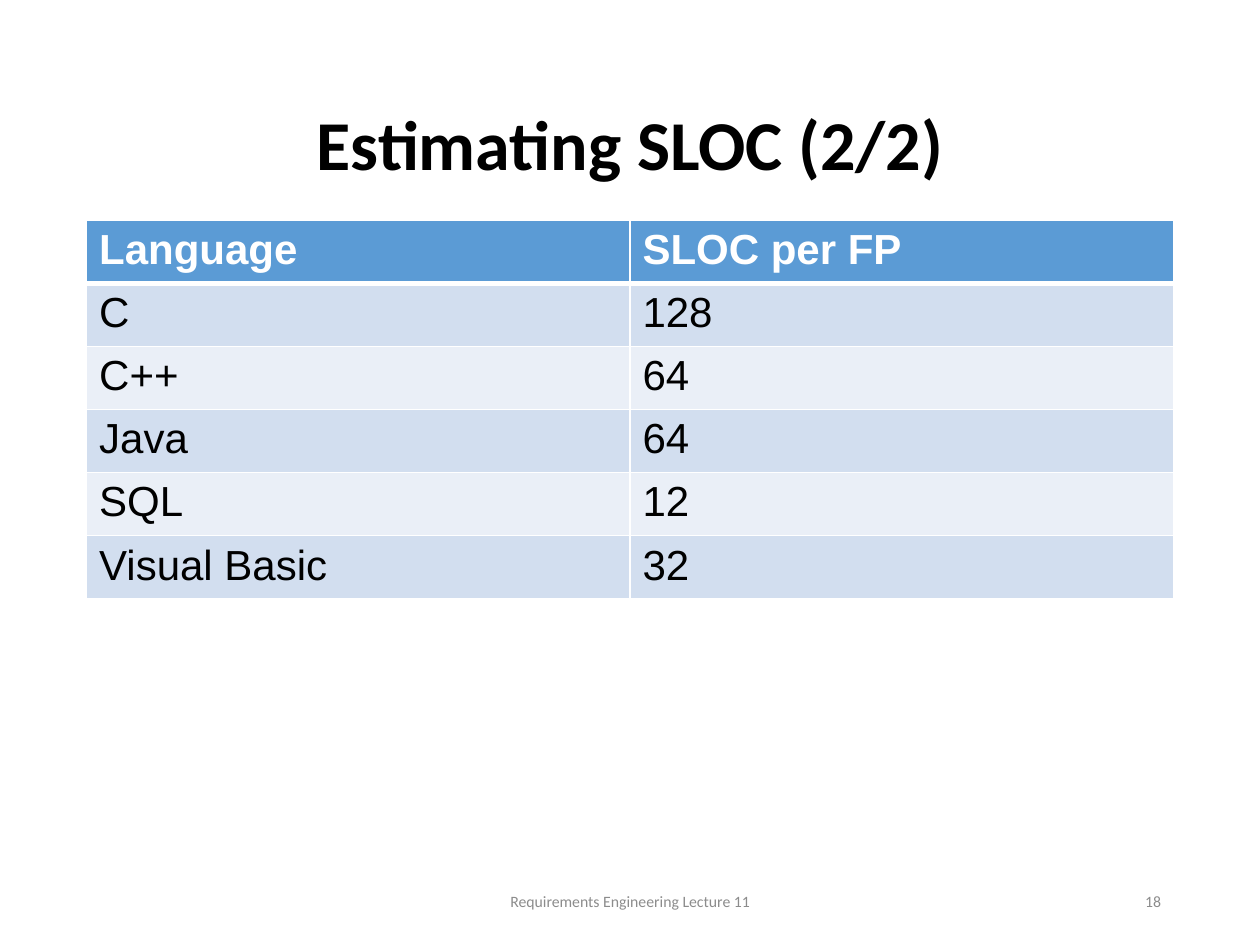
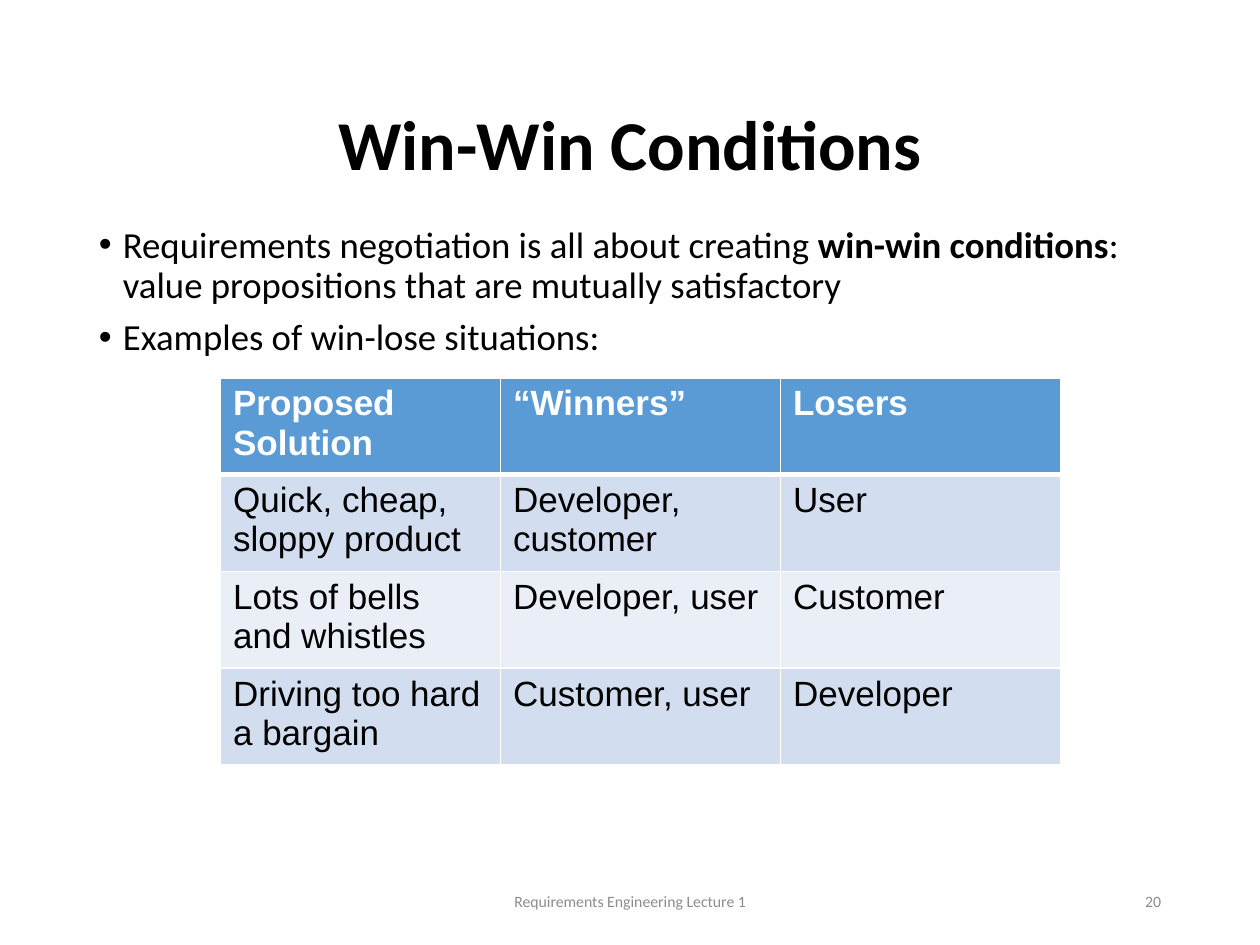
from collections import namedtuple

from lxml.etree import SubElement
from pptx import Presentation
from pptx.dml.color import RGBColor as Rgb
from pptx.enum.text import MSO_ANCHOR as Anchor, PP_ALIGN as Align
from pptx.oxml.ns import qn
from pptx.util import Inches, Pt

COLORS = {"text": "000000", "muted": "8C8C8C", "white": "FFFFFF",
          "header": "5B9BD5", "odd": "D2DEEF", "even": "EAEFF7"}
CELL = Inches(1 / 16)
COLUMNS, ROWS = 160, 120
Box = namedtuple("Box", "left top width height")

MARGIN = 11
CONTENT_WIDTH = COLUMNS - 2 * MARGIN
TITLE = Box(MARGIN, 12.3, CONTENT_WIDTH, 13)
BODY = Box(MARGIN, 28, CONTENT_WIDTH, 80.2)
FOOTER = Box(53, 111.2, 54, 6.4)
PAGE_NUMBER = Box(113, 111.2, 36, 6.4)
SLOC_BOX = Box(MARGIN, 28, CONTENT_WIDTH, 48)
WIN_LOSE_BOX = Box(28, 48, 106.67, 49.1)
ROW_HEIGHT = Inches(0.41)

SLOC_PER_LANGUAGE = [
    ("Language", "SLOC per FP"),
    ("C", "128"),
    ("C++", "64"),
    ("Java", "64"),
    ("SQL", "12"),
    ("Visual Basic", "32"),
]
WIN_LOSE_SITUATIONS = [
    ("Proposed Solution", "“Winners”", "Losers"),
    ("Quick, cheap, sloppy product", "Developer, customer", "User"),
    ("Lots of bells and whistles", "Developer, user", "Customer"),
    ("Driving too hard a bargain", "Customer, user", "Developer"),
]
WIN_WIN_POINTS = [
    [("Requirements negotiation is all about creating ", False),
     ("win-win conditions", True),
     (": value propositions that are mutually satisfactory", False)],
    [("Examples of win-lose situations:", False)],
]


def to_emu(box):
    """Convert a box in grid cells to slide lengths."""
    return [round(length * CELL) for length in box]


def style_font(font, size, color, bold=False, name="Calibri"):
    """Set the face, size, colour and weight of a font."""
    font.name, font.size, font.bold = name, Pt(size), bold
    font.color.rgb = Rgb.from_string(COLORS[color])


def add_frame(slide, box, anchor):
    """Add a wrapping text box and return its text frame."""
    frame = slide.shapes.add_textbox(*to_emu(box)).text_frame
    frame.word_wrap = True
    frame.vertical_anchor = anchor
    return frame


def add_line(slide, box, text, align, size, color, bold=False):
    """Add a single vertically centred paragraph."""
    paragraph = add_frame(slide, box, Anchor.MIDDLE).paragraphs[0]
    paragraph.text, paragraph.alignment = text, align
    style_font(paragraph.font, size, color, bold)
    return paragraph


def add_lecture_slide(deck, title, footer, number):
    """Add a slide with the shared title, footer and page number."""
    slide = deck.slides.add_slide(deck.slide_layouts[6])
    heading = add_line(slide, TITLE, title, Align.CENTER, 40, "text", True)
    heading.line_spacing = 0.9
    add_line(slide, FOOTER, footer, Align.CENTER, 9, "muted")
    add_line(slide, PAGE_NUMBER, number, Align.RIGHT, 9, "muted")
    return slide


def add_bullets(slide, box, points):
    """Add bulleted paragraphs made of (text, bold) runs."""
    frame = add_frame(slide, box, Anchor.TOP)
    for index, point in enumerate(points):
        paragraph = frame.paragraphs[0] if index == 0 else frame.add_paragraph()
        paragraph.line_spacing, paragraph.space_before = 0.9, Pt(7.5)
        style_font(paragraph.font, 21, "text")
        for text, bold in point:
            run = paragraph.add_run()
            run.text = text
            style_font(run.font, 21, "text", bold)
        properties = paragraph._p.get_or_add_pPr()
        indent = Inches(0.19)
        properties.set("marL", str(indent))
        properties.set("indent", str(-indent))
        bullet_font = SubElement(properties, qn("a:buFont"), typeface="Arial")
        bullet_font.addnext(SubElement(properties, qn("a:buChar"), char="•"))
        defaults = properties.find(qn("a:defRPr"))
        if defaults is not None:
            properties.append(defaults)


def add_borders(cell, bottom_width):
    """Draw white cell borders with the given bottom width in points."""
    properties = cell._tc.get_or_add_tcPr()
    for side, width in (("L", 1), ("R", 1), ("T", 1), ("B", bottom_width)):
        line = SubElement(properties, qn(f"a:ln{side}"), w=str(Pt(width)))
        fill = SubElement(line, qn("a:solidFill"))
        SubElement(fill, qn("a:srgbClr"), val=COLORS["white"])


def add_banded_table(slide, box, records, size):
    """Add a table with a bold header and alternating row fills."""
    frame = slide.shapes.add_table(len(records), len(records[0]), *to_emu(box))
    table = frame.table
    for index, record in enumerate(records):
        is_header = index == 0
        band = "header" if is_header else ("even", "odd")[index % 2]
        table.rows[index].height = ROW_HEIGHT
        for column, text in enumerate(record):
            cell = table.cell(index, column)
            add_borders(cell, 3 if is_header else 1)
            cell.fill.solid()
            cell.fill.fore_color.rgb = Rgb.from_string(COLORS[band])
            cell.text = text
            style_font(cell.text_frame.paragraphs[0].font, size,
                       "white" if is_header else "text", is_header, "Arial")
    frame.height = to_emu(box)[3]


def build_deck():
    """Build and save both lecture slides."""
    deck = Presentation()
    deck.slide_width, deck.slide_height = COLUMNS * CELL, ROWS * CELL

    sloc = add_lecture_slide(deck, "Estimating SLOC (2/2)",
                             "Requirements Engineering Lecture 11", "18")
    add_banded_table(sloc, SLOC_BOX, SLOC_PER_LANGUAGE, 24)

    win_win = add_lecture_slide(deck, "Win-Win Conditions",
                                "Requirements Engineering Lecture 1", "20")
    add_bullets(win_win, BODY, WIN_WIN_POINTS)
    add_banded_table(win_win, WIN_LOSE_BOX, WIN_LOSE_SITUATIONS, 20)
    deck.save("out.pptx")


build_deck()
